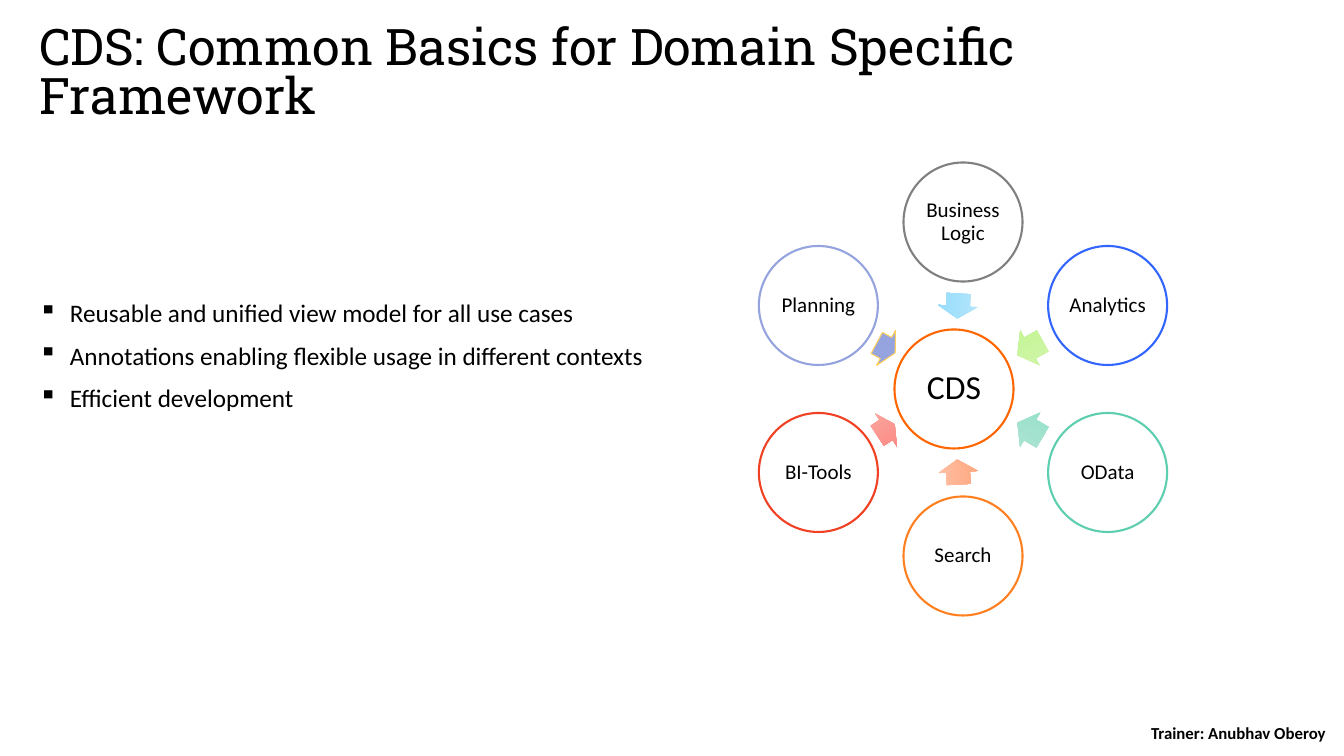
import math

import pptx
import pptx.dml.color
import pptx.enum.shapes
import pptx.enum.text
import pptx.util
from lxml import etree

RGBColor = pptx.dml.color.RGBColor
SHAPE = pptx.enum.shapes.MSO_SHAPE
ALIGN = pptx.enum.text.PP_ALIGN
ANCHOR = pptx.enum.text.MSO_ANCHOR
Pt = pptx.util.Pt

PX = 914400 / 100.8
BLACK = RGBColor(0x00, 0x00, 0x00)
WHITE = RGBColor(0xFF, 0xFF, 0xFF)
HUB_ORANGE = RGBColor(0xFF, 0x66, 0x00)
GREY = RGBColor(0x80, 0x80, 0x80)
BLUE = RGBColor(0x33, 0x66, 0xFF)
TEAL = RGBColor(0x5D, 0xCE, 0xAF)
ORANGE = RGBColor(0xFF, 0x80, 0x21)
RED = RGBColor(0xF1, 0x41, 0x24)
LAVENDER = RGBColor(0x95, 0xA4, 0xDE)
GOLD = RGBColor(0xFF, 0xD0, 0x5D)
SKY_FADE = RGBColor(0xB5, 0xE5, 0xFB), RGBColor(0x95, 0xDD, 0xFB)
LIME_FADE = RGBColor(0xD2, 0xF5, 0xAF), RGBColor(0xC2, 0xF5, 0x8F)
TEAL_FADE = RGBColor(0xB1, 0xE5, 0xD5), RGBColor(0x93, 0xDF, 0xC7)
ORANGE_FADE = RGBColor(0xFF, 0xBF, 0xA3), RGBColor(0xFF, 0xA8, 0x81)
RED_FADE = RGBColor(0xFA, 0xA8, 0xA2), RGBColor(0xFB, 0x87, 0x7F)


def place(*lengths):
    return [round(length * PX) for length in lengths]


def add_circle(page, center_x, center_y, label, size, color):
    diameter = 119
    circle = page.shapes.add_shape(SHAPE.OVAL, *place(
        center_x - diameter / 2, center_y - diameter / 2, diameter, diameter))
    circle.shadow.inherit = False
    circle.fill.solid()
    circle.fill.fore_color.rgb = WHITE
    circle.line.color.rgb = color
    circle.line.width = Pt(1.5)
    frame = circle.text_frame
    frame.word_wrap = True
    frame.vertical_anchor = ANCHOR.MIDDLE
    frame.margin_left, frame.margin_top, frame.margin_right, frame.margin_bottom = place(2, 2, 2, 2)
    para = frame.paragraphs[0]
    para.text = label
    para.alignment = ALIGN.CENTER
    para.line_spacing = 0.9
    para.font.name = "Calibri"
    para.font.size = Pt(size)
    para.font.color.rgb = BLACK


deck = pptx.Presentation()
deck.slide_width, deck.slide_height = place(1344, 756)
page = deck.slides.add_slide(deck.slide_layouts[5])

# Title
title = page.shapes.title
title.left, title.top, title.width, title.height = place(29, 21, 1245, 79)
title.text_frame.auto_size = pptx.enum.text.MSO_AUTO_SIZE.NONE
title.text_frame.vertical_anchor = ANCHOR.TOP
para = title.text_frame.paragraphs[0]
para.text = "CDS: Common Basics for Domain Specific Framework"
para.alignment = ALIGN.LEFT
para.line_spacing = 0.81
para.font.name = "Roboto Slab"
para.font.size = Pt(36)
para.font.color.rgb = BLACK

# Trainer line
trainer = page.shapes.add_textbox(*place(1116, 722, 245, 22))
trainer.text_frame.word_wrap = True
trainer.text_frame.vertical_anchor = ANCHOR.MIDDLE
para = trainer.text_frame.paragraphs[0]
para.text = "Trainer: Anubhav Oberoy"
para.alignment = ALIGN.CENTER
para.font.name = "Calibri"
para.font.size = Pt(12)
para.font.bold = True
para.font.color.rgb = BLACK

# Bullet list
benefits = page.shapes.add_textbox(*place(29, 162, 659, 386))
frame = benefits.text_frame
frame.word_wrap = True
frame.vertical_anchor = ANCHOR.MIDDLE
indent, = place(31)
for index, line in enumerate((
        "Reusable and unified view model for all use cases",
        "Annotations enabling flexible usage in different contexts",
        "Efficient development")):
    para = frame.add_paragraph() if index else frame.paragraphs[0]
    para.text = line
    props = para._p.get_or_add_pPr()
    props.set("marL", str(indent))
    props.set("indent", str(-indent))
    bullet = etree.SubElement(props, pptx.oxml.ns.qn("a:buChar"))
    bullet.set("char", "▪")
    para.space_after = Pt(9)
    para.font.name = "Calibri"
    para.font.size = Pt(18)
    para.font.color.rgb = BLACK

# Hub of the wheel
add_circle(page, 954, 389, "CDS", 24, HUB_ORANGE)

# Spokes, clockwise from the top: circle, then its arrow's center, length, turn and colors
ring_x, ring_y, ring_radius = 963, 389, 167
arrow_width = 40
spokes = [
    ("Business Logic", GREY, 958, 306, 25, 93.2, SKY_FADE),
    ("Analytics", BLUE, 1030, 348, 29, 150.7, LIME_FADE),
    ("OData", TEAL, 1030, 430, 29, 210.2, TEAL_FADE),
    ("Search", ORANGE, 958, 472, 25, 266.8, ORANGE_FADE),
    ("BI-Tools", RED, 886, 430, 21, 326.5, RED_FADE),
    ("Planning", LAVENDER, 886, 348, 21, 28.4, None),
]
for index, (label, color, arrow_x, arrow_y, length, turn, fade) in enumerate(spokes):
    arrow = page.shapes.add_shape(SHAPE.RIGHT_ARROW, *place(
        arrow_x - length / 2, arrow_y - arrow_width / 2, length, arrow_width))
    arrow.shadow.inherit = False
    arrow.rotation = turn
    arrow.adjustments[0] = 0.6
    arrow.adjustments[1] = 0.5
    if fade:
        arrow.fill.gradient()
        arrow.fill.gradient_angle = 270
        for stop, shade in zip(arrow.fill.gradient_stops, fade):
            stop.color.rgb = shade
        arrow.line.fill.background()
    else:
        arrow.fill.solid()
        arrow.fill.fore_color.rgb = color
        arrow.line.color.rgb = GOLD
        arrow.line.width = Pt(0.75)

    angle = math.radians(60 * index)
    add_circle(page, ring_x + ring_radius * math.sin(angle),
               ring_y - ring_radius * math.cos(angle), label, 15, color)

deck.save("out.pptx")
